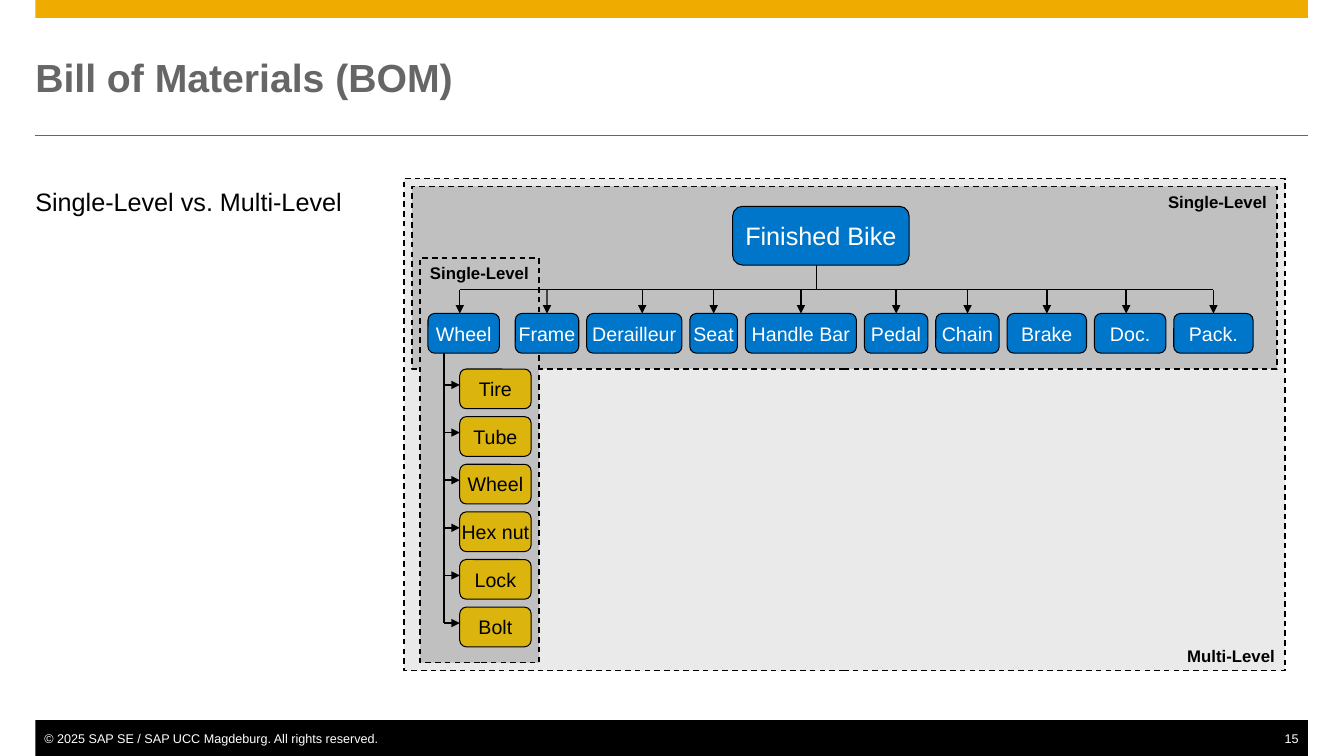
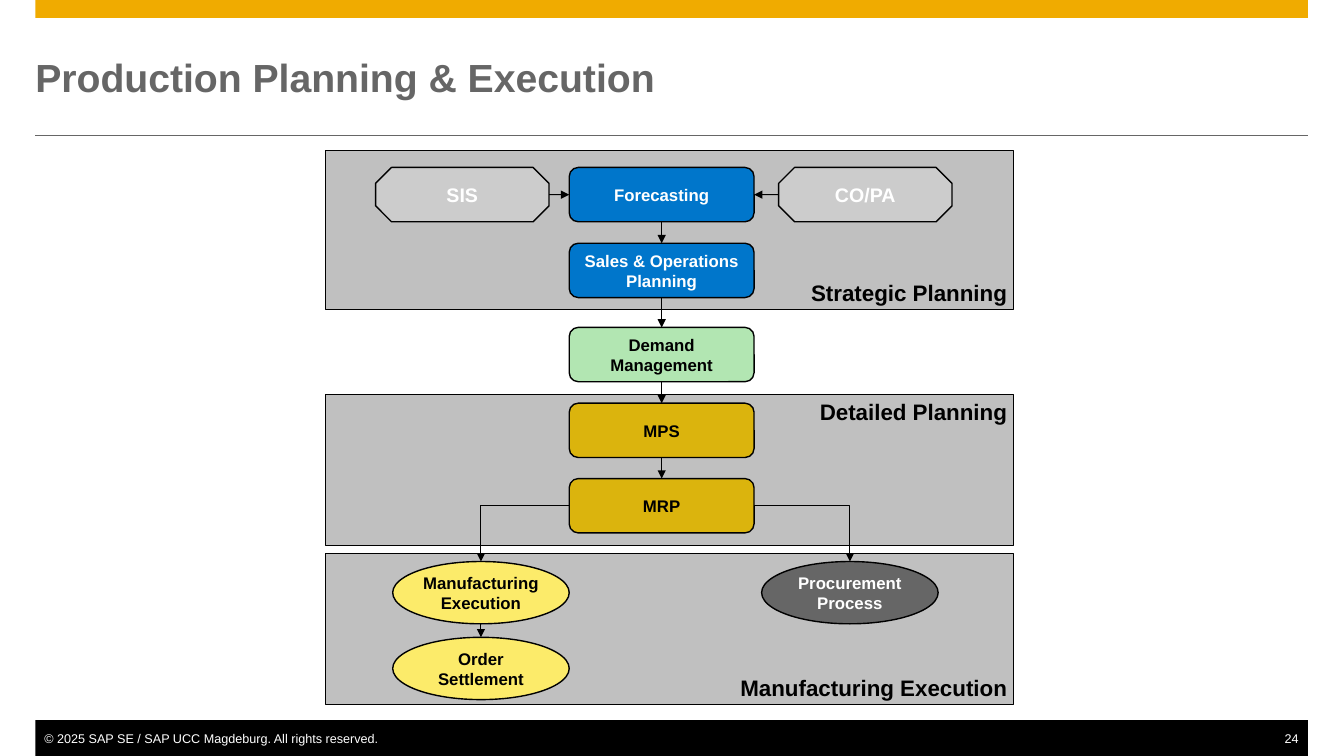
import itertools

import lxml.etree
import pptx
import pptx.dml.color
import pptx.enum.dml
import pptx.enum.shapes
import pptx.enum.text
import pptx.oxml.ns
import pptx.util

Cm = pptx.util.Cm
Pt = pptx.util.Pt
SHAPE = pptx.enum.shapes.MSO_SHAPE
ALIGN = pptx.enum.text.PP_ALIGN
ANCHOR = pptx.enum.text.MSO_ANCHOR
qn = pptx.oxml.ns.qn

FONT = "Arial"
COLOURS = {
    "accent": "F0AB00", "grey": "666666", "black": "000000", "white": "FFFFFF",
    "frame": "EAEAEA", "panel": "C0C0C0", "blue": "0076CB", "gold": "DBB40D",
    "green": "B2E6B2", "silver": "CCCCCC", "yellow": "FCEB6A",
}
SLIDE_WIDTH, SLIDE_HEIGHT = 33.88, 19.05
MARGIN, CONTENT_WIDTH = 0.89, 32.08
FOOTER_HEIGHT = 0.9
COPYRIGHT = "© 2025 SAP SE / SAP UCC Magdeburg. All rights reserved."


def colour(name):
    return pptx.dml.color.RGBColor.from_string(COLOURS[name])


def write(shape, text, size, text_colour="black", bold=False, align=ALIGN.CENTER,
          anchor=ANCHOR.MIDDLE, insets=(0, 0), wrap=True):
    """Fill a shape with one paragraph; insets are horizontal and vertical."""
    frame = shape.text_frame
    frame.word_wrap = wrap
    frame.auto_size = pptx.enum.text.MSO_AUTO_SIZE.NONE
    frame.vertical_anchor = anchor
    frame.margin_left = frame.margin_right = Cm(insets[0])
    frame.margin_top = frame.margin_bottom = Cm(insets[1])
    frame.text = text
    paragraph = frame.paragraphs[0]
    paragraph.alignment = align
    paragraph.font.name = FONT
    paragraph.font.size = Pt(size)
    paragraph.font.bold = bold
    paragraph.font.color.rgb = colour(text_colour)


def add_box(slide, kind, box, fill, line_width=None, dashed=False):
    shape = slide.shapes.add_shape(kind, *map(Cm, box))
    shape.shadow.inherit = False
    shape.fill.solid()
    shape.fill.fore_color.rgb = colour(fill)
    if line_width is None:
        shape.line.fill.background()
    else:
        shape.line.color.rgb = colour("black")
        shape.line.width = Pt(line_width)
    if dashed:
        shape.line.dash_style = pptx.enum.dml.MSO_LINE.DASH
    return shape


def add_line(slide, start=(0, 0), end=(0, 0), width=1, line_colour="black", arrow=False,
             source=None, target=None, bent=False):
    """Draw a connector; source and target are (shape, side) joins that replace a point."""
    kinds = pptx.enum.shapes.MSO_CONNECTOR
    connector = slide.shapes.add_connector(
        kinds.ELBOW if bent else kinds.STRAIGHT, *map(Cm, (*start, *end)))
    if source:
        connector.begin_connect(*source)
    if target:
        connector.end_connect(*target)
    connector.line.color.rgb = colour(line_colour)
    connector.line.width = Pt(width)
    properties = connector.element.spPr
    if bent:
        properties.find(qn("a:prstGeom")).set("prst", "bentConnector2")
    if arrow:
        lxml.etree.SubElement(properties.find(qn("a:ln")), qn("a:tailEnd"), type="triangle")
    lxml.etree.SubElement(properties, qn("a:effectLst"))


def add_base_slide(presentation, title, number):
    """Add a slide with the title, bands, rule and footer that all slides share."""
    slide = presentation.slides.add_slide(presentation.slide_layouts[5])
    add_box(slide, SHAPE.RECTANGLE, (MARGIN, 0, CONTENT_WIDTH, 0.45), "accent")
    right = MARGIN + CONTENT_WIDTH
    add_line(slide, (MARGIN, 3.42), (right, 3.42), 0.5, "grey")

    footer_top = SLIDE_HEIGHT - FOOTER_HEIGHT
    footer = add_box(slide, SHAPE.RECTANGLE,
                     (MARGIN, footer_top, CONTENT_WIDTH, FOOTER_HEIGHT), "black")
    write(footer, COPYRIGHT, 9, "white", align=ALIGN.LEFT, insets=(0.23, 0))
    page = slide.shapes.add_textbox(*map(Cm, (right - 2, footer_top, 2, FOOTER_HEIGHT)))
    write(page, str(number), 9, "white", align=ALIGN.RIGHT, insets=(0.23, 0))

    heading = slide.shapes.title
    heading.left, heading.top = Cm(MARGIN), Cm(0.89)
    heading.width, heading.height = Cm(CONTENT_WIDTH), Cm(2.11)
    write(heading, title, 28, "grey", bold=True, align=ALIGN.LEFT)
    return slide


def add_bullet(slide, text, box):
    shape = slide.shapes.add_textbox(*map(Cm, box))
    shape.text_frame.text = text
    properties = shape.text_frame.paragraphs[0]._p.get_or_add_pPr()
    properties.set("marL", str(Cm(0.56)))
    properties.set("indent", str(-Cm(0.56)))
    bullet_colour = lxml.etree.SubElement(properties, qn("a:buClr"))
    lxml.etree.SubElement(bullet_colour, qn("a:srgbClr"), val=COLOURS["accent"])
    lxml.etree.SubElement(properties, qn("a:buFont"), typeface=FONT)
    lxml.etree.SubElement(properties, qn("a:buChar"), char="▪")
    write(shape, text, 18, align=ALIGN.LEFT, anchor=ANCHOR.TOP)


def add_bom_tree(slide, left, top):
    gap, node_height = 0.2, 1.0
    bus_y, row_y = top + 2.8, top + 3.4

    def add_level(box, fill, label, align, anchor=ANCHOR.TOP):
        x, y, width, height = box
        level = add_box(slide, SHAPE.RECTANGLE, (left + x, top + y, width, height),
                        fill, 1, dashed=True)
        write(level, label, 12, bold=True, align=align, anchor=anchor, insets=(0.25, 0.13))

    def add_item(text, box, fill="blue", text_colour="white", size=14):
        item = add_box(slide, SHAPE.ROUNDED_RECTANGLE, box, fill, 0.75)
        write(item, text, size, text_colour, wrap=False)
        return item

    add_level((0, 0, 22.2, 12.4), "frame", "Multi-Level", ALIGN.RIGHT, ANCHOR.BOTTOM)
    add_level((0.2, 0.2, 21.8, 4.6), "panel", "Single-Level", ALIGN.RIGHT)
    add_level((0.4, 2.0, 3.0, 10.2), "panel", "Single-Level", ALIGN.LEFT)
    add_item("Finished Bike", (left + 8.28, top + 0.7, 4.45, 1.48), size=18)

    # Each component: name, width, shift of its arrow from the middle, gap after it
    components = [
        ("Wheel", 1.8, -0.1, 2 * gap), ("Frame", 1.6, 0, gap), ("Derailleur", 2.4, 0.2, gap),
        ("Seat", 1.2, 0, gap), ("Handle Bar", 2.8, 0, gap), ("Pedal", 1.6, 0, gap),
        ("Chain", 1.6, 0, gap), ("Brake", 2.0, 0, gap), ("Doc.", 1.8, -0.1, gap),
        ("Pack.", 2.0, 0, gap),
    ]
    x = left + 0.6
    arrow_xs = []
    for name, width, shift, space in components:
        item = add_item(name, (x, row_y, width, node_height))
        arrow_x = x + width / 2 + shift
        add_line(slide, (arrow_x, bus_y), (arrow_x, row_y), arrow=True,
                 target=None if shift else (item, 0))
        arrow_xs.append(arrow_x)
        x += width + space
    add_line(slide, (arrow_xs[0], bus_y), (arrow_xs[-1], bus_y))
    add_line(slide, (left + 10.4, top + 2.18), (left + 10.4, bus_y))

    spine_x, part_x = left + 1.0, left + 1.4
    for index, part in enumerate(["Tire", "Tube", "Wheel", "Hex nut", "Lock", "Bolt"]):
        part_y = top + 4.8 + index * (node_height + gap)
        add_item(part, (part_x, part_y, 1.8, node_height), "gold", "black")
        arrow_y = part_y + 0.4
        add_line(slide, (spine_x, arrow_y), (part_x, arrow_y), arrow=True)
    add_line(slide, (spine_x, row_y + node_height), (spine_x, arrow_y))


def add_planning_flow(slide, left, top):
    step_x, step_width, step_height = 6.15, 4.66, 1.37
    source_width = 4.37
    oval_width, oval_height = 4.45, 1.57

    for y, height, label, anchor in [
        (10.16, 3.81, "Manufacturing Execution", ANCHOR.BOTTOM),
        (6.15, 3.81, "Detailed Planning", ANCHOR.TOP),
        (0, 4.01, "Strategic Planning", ANCHOR.BOTTOM),
    ]:
        panel = add_box(slide, SHAPE.RECTANGLE, (left, top + y, 17.35, height), "panel", 0.75)
        write(panel, label, 16, bold=True, align=ALIGN.RIGHT, anchor=anchor, insets=(0.16, 0.1))

    def add_node(kind, text, x, y, width, height, fill, text_colour="black", size=12):
        node = add_box(slide, kind, (left + x, top + y, width, height), fill, 1)
        write(node, text, size, text_colour, bold=True, wrap=False)
        return node

    steps = [
        add_node(SHAPE.ROUNDED_RECTANGLE, text, step_x, y, step_width, step_height, fill, ink)
        for text, y, fill, ink in [
            ("Forecasting", 0.43, "blue", "white"),
            ("Sales & Operations\vPlanning", 2.34, "blue", "white"),
            ("Demand\vManagement", 4.46, "green", "black"),
            ("MPS", 6.37, "gold", "black"),
            ("MRP", 8.27, "gold", "black"),
        ]
    ]
    for upper, lower in itertools.pairwise(steps):
        add_line(slide, width=0.75, arrow=True, source=(upper, 2), target=(lower, 0))

    for text, x, edge, side in [("SIS", 1.27, source_width, 1), ("CO/PA", 11.43, 0, 3)]:
        add_node(SHAPE.OCTAGON, text, x, 0.43, source_width, step_height, "silver", "white", 14)
        add_line(slide, (left + x + edge, top + 0.43 + step_height / 2), width=0.75,
                 arrow=True, target=(steps[0], side))

    execution, settlement, procurement = [
        add_node(SHAPE.OVAL, text, x, y, oval_width, oval_height, fill, ink)
        for text, x, y, fill, ink in [
            ("Manufacturing\vExecution", 1.7, 10.36, "yellow", "black"),
            ("Order\vSettlement", 1.7, 12.27, "yellow", "black"),
            ("Procurement\vProcess", 11.0, 10.36, "grey", "white"),
        ]
    ]
    for process, side in [(execution, 1), (procurement, 3)]:
        add_line(slide, width=0.75, arrow=True, source=(steps[-1], side),
                 target=(process, 0), bent=True)
    add_line(slide, (left + 1.7 + oval_width / 2, top + 10.36 + oval_height), width=0.75,
             arrow=True, target=(settlement, 0))


def main():
    presentation = pptx.Presentation()
    presentation.slide_width = Cm(SLIDE_WIDTH)
    presentation.slide_height = Cm(SLIDE_HEIGHT)

    bom_slide = add_base_slide(presentation, "Bill of Materials (BOM)", 15)
    add_bullet(bom_slide, "Single-Level vs. Multi-Level", (MARGIN, 4.7, 9, 1))
    add_bom_tree(bom_slide, 10.19, 4.5)

    planning_slide = add_base_slide(presentation, "Production Planning & Execution", 24)
    add_planning_flow(planning_slide, 8.2, 3.79)

    presentation.save("out.pptx")


if __name__ == "__main__":
    main()
